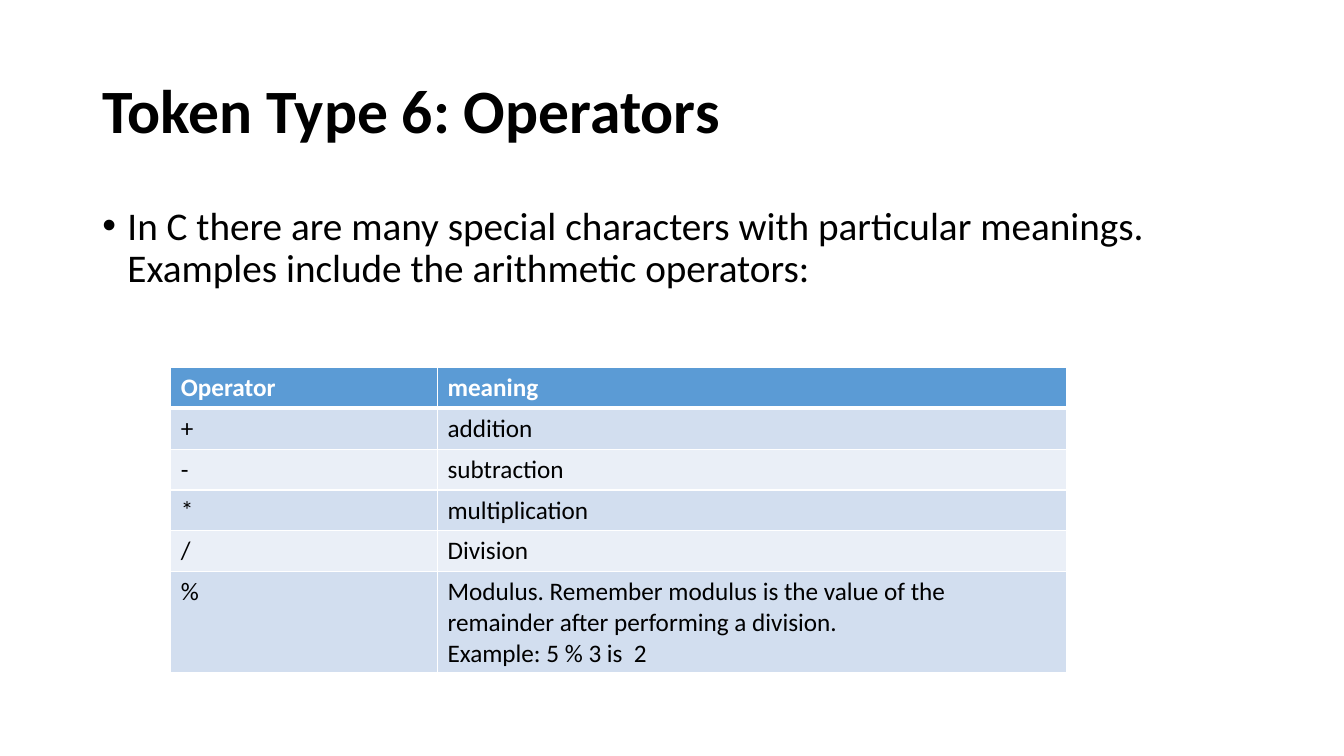
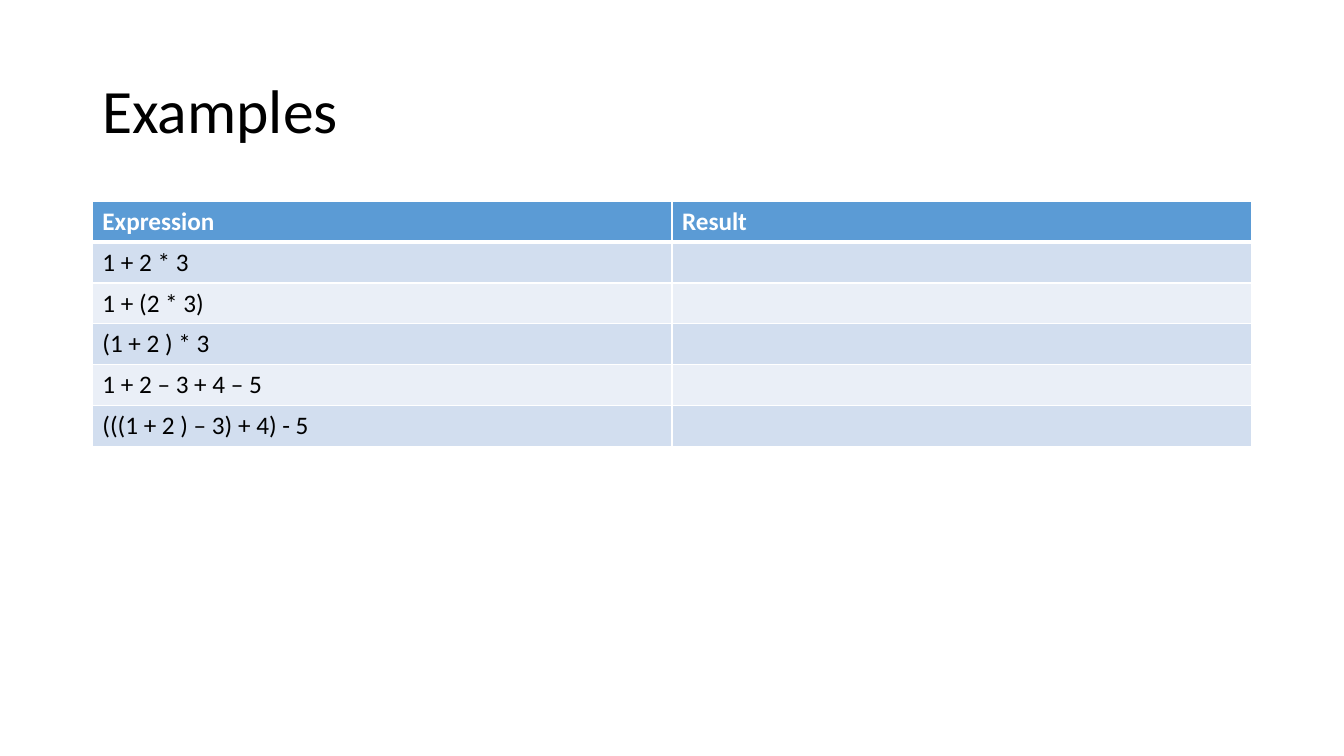
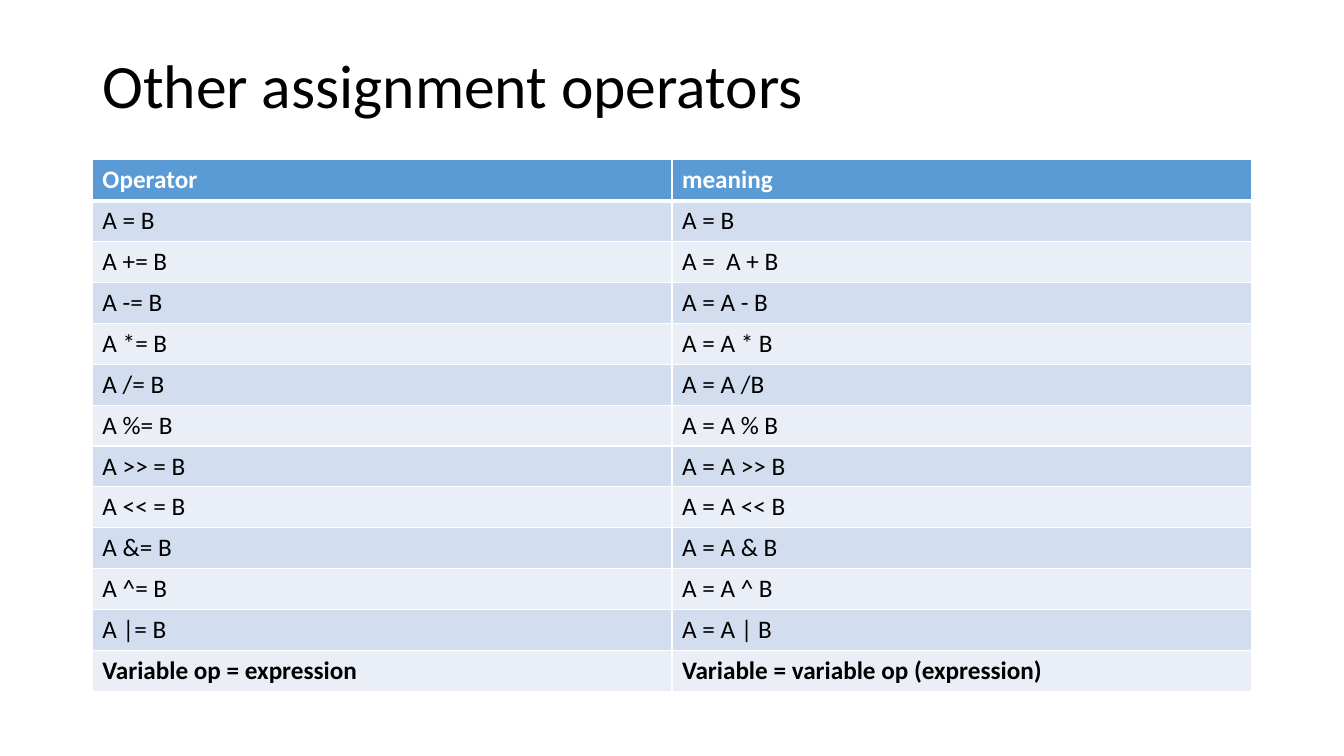
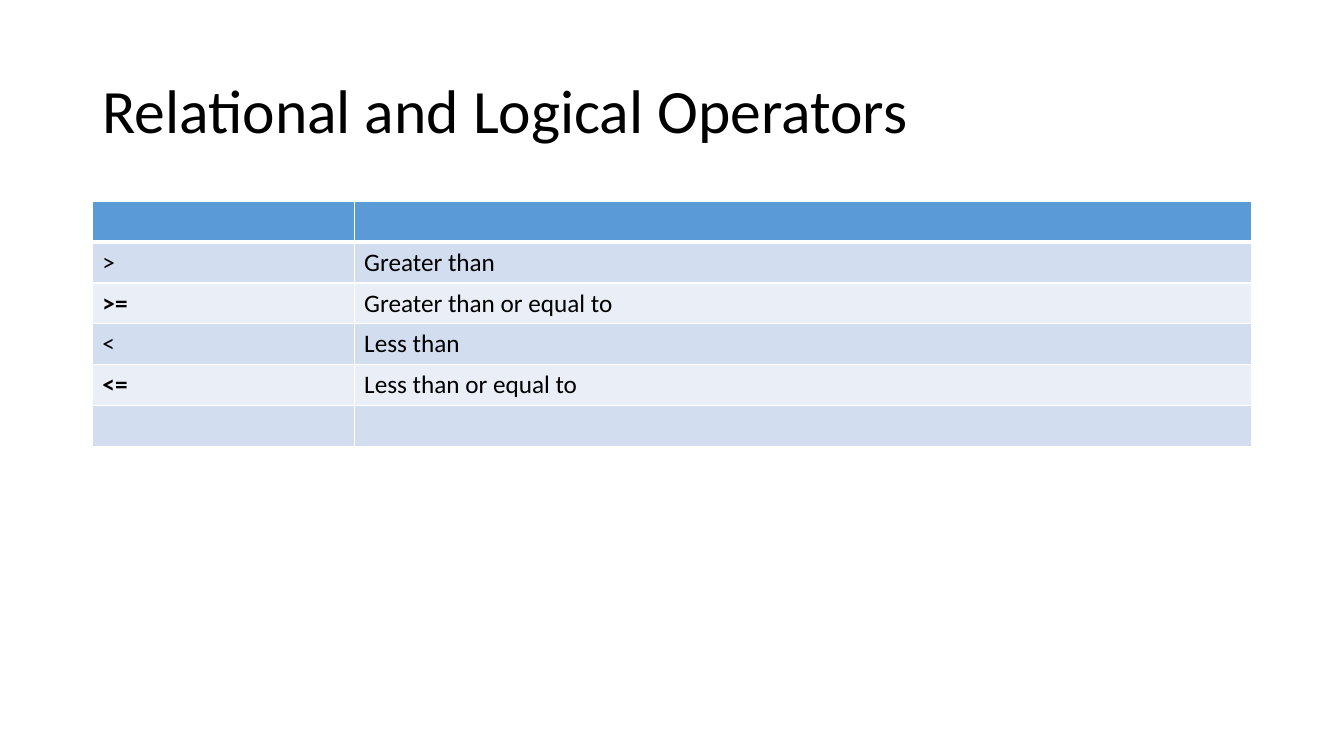
from dataclasses import dataclass

from lxml import etree
from pptx import Presentation
from pptx import util as u
from pptx.dml.color import RGBColor
from pptx.enum import text
from pptx.oxml import ns

Pt = u.Pt

SLIDES = [
    {
        "title": "Token Type 6: Operators",
        "title_bold": True,
        "bullet": "In C there are many special characters with particular meanings. "
                  "Examples include the arithmetic operators:",
        "table_at": (122, 262.4),
        "columns": (190.5, 449.5),
        "rows": [
            ("Operator", "meaning"),
            ("+", "addition"),
            ("-", "subtraction"),
            ("*", "multiplication"),
            ("/", "Division"),
            ("%", "Modulus. Remember modulus is the value of the remainder "
                  "after performing a division.\nExample: 5 % 3 is  2"),
        ],
    },
    {
        "title": "Examples",
        "columns": (414, 414),
        "rows": [
            ("Expression", "Result"),
            ("1 + 2 * 3", ""),
            ("1 + (2 * 3)", ""),
            ("(1 + 2 ) * 3", ""),
            ("1 + 2 – 3 + 4 – 5", ""),
            ("(((1 + 2 ) – 3) + 4) - 5", ""),
        ],
    },
    {
        "title": "Other assignment operators",
        "title_height": 69,
        "table_at": (66, 114.2),
        "columns": (414, 414),
        "rows": [
            ("Operator", "meaning"),
            ("A = B", "A = B"),
            ("A += B", "A =  A + B"),
            ("A -= B", "A = A - B"),
            ("A *= B", "A = A * B"),
            ("A /= B", "A = A /B"),
            ("A %= B", "A = A % B"),
            ("A >> = B", "A = A >> B"),
            ("A << = B", "A = A << B"),
            ("A &= B", "A = A & B"),
            ("A ^= B", "A = A ^ B"),
            ("A |= B", "A = A | B"),
            ("Variable op = expression", "Variable = variable op (expression)"),
        ],
        "bold_cells": {(12, 0), (12, 1)},
    },
    {
        "title": "Relational and Logical Operators",
        "columns": (187, 641),
        "rows": [
            ("", ""),
            (">", "Greater than"),
            (">=", "Greater than or equal to"),
            ("<", "Less than"),
            ("<=", "Less than or equal to"),
            ("", ""),
        ],
        "bold_cells": {(2, 0), (4, 0)},
    },
]


@dataclass(frozen=True)
class Theme:
    """Colours, type sizes and shared measures, in points."""
    font: str = "Calibri"
    ink: str = "000000"
    white: str = "FFFFFF"
    header: str = "5B9BD5"
    bands: tuple = ("D2DEEF", "EAEFF7")
    title_size: float = 44
    body_size: float = 28
    cell_size: float = 18
    line_spacing: float = 0.9
    thin: float = 1
    thick: float = 3
    left: float = 66
    width: float = 828
    title_top: float = 28.75
    title_height: float = 104.4
    body_top: float = 143.75
    body_height: float = 342.6
    row_height: float = 29.2
    indent: float = 18


THEME = Theme()


def style_runs(frame, size, color, bold=False):
    """Format every run of a text frame."""
    for para in frame.paragraphs:
        for span in para.runs:
            span.font.name = THEME.font
            span.font.size = Pt(size)
            span.font.bold = bold
            span.font.color.rgb = RGBColor.from_string(color)


def add_text(page, content, top, height, size, bold=False):
    """Add a full-width text box and return its text frame."""
    box = page.shapes.add_textbox(Pt(THEME.left), Pt(top), Pt(THEME.width), Pt(height))
    frame = box.text_frame
    frame.word_wrap = True
    frame.text = content
    frame.paragraphs[0].line_spacing = THEME.line_spacing
    style_runs(frame, size, THEME.ink, bold)
    return frame


def add_title(page, content, height, bold):
    """Add the slide title, centred vertically."""
    frame = add_text(page, content, THEME.title_top, height, THEME.title_size, bold)
    frame.vertical_anchor = text.MSO_ANCHOR.MIDDLE


def add_bullet(page, content):
    """Add the body text with a hanging bullet."""
    frame = add_text(page, content, THEME.body_top, THEME.body_height, THEME.body_size)
    para = frame.paragraphs[0]
    para.space_before = Pt(10)
    props = para._p.get_or_add_pPr()
    props.set("marL", str(Pt(THEME.indent)))
    props.set("indent", str(-Pt(THEME.indent)))
    etree.SubElement(props, ns.qn("a:buFont")).set("typeface", "Arial")
    etree.SubElement(props, ns.qn("a:buChar")).set("char", "•")


def add_borders(cell, row):
    """Draw white cell borders, thick between header and body."""
    widths = {
        "L": THEME.thin,
        "R": THEME.thin,
        "T": THEME.thick if row == 1 else THEME.thin,
        "B": THEME.thick if row == 0 else THEME.thin,
    }
    props = cell._tc.get_or_add_tcPr()
    for side, width in widths.items():
        line = etree.SubElement(props, ns.qn(f"a:ln{side}"), w=str(Pt(width)))
        fill = etree.SubElement(line, ns.qn("a:solidFill"))
        etree.SubElement(fill, ns.qn("a:srgbClr"), val=THEME.white)


def add_grid(page, rows, columns, at, bold_cells):
    """Add a banded table with a header row."""
    left, top = at
    grid = page.shapes.add_table(
        len(rows), len(columns), Pt(left), Pt(top),
        Pt(sum(columns)), Pt(THEME.row_height * len(rows))).table
    for column, width in zip(grid.columns, columns):
        column.width = Pt(width)
    for r, values in enumerate(rows):
        grid.rows[r].height = Pt(THEME.row_height)
        is_header = r == 0
        fill = THEME.header if is_header else THEME.bands[(r - 1) % 2]
        ink = THEME.white if is_header else THEME.ink
        for c, value in enumerate(values):
            cell = grid.cell(r, c)
            cell.text_frame.text = value
            style_runs(cell.text_frame, THEME.cell_size, ink,
                       is_header or (r, c) in bold_cells)
            add_borders(cell, r)
            cell.fill.solid()
            cell.fill.fore_color.rgb = RGBColor.from_string(fill)


def build():
    """Build and save the deck."""
    deck = Presentation()
    deck.slide_width, deck.slide_height = Pt(960), Pt(540)
    blank = deck.slide_layouts[6]
    for item in SLIDES:
        page = deck.slides.add_slide(blank)
        add_title(page, item["title"], item.get("title_height", THEME.title_height),
                  item.get("title_bold", False))
        if "bullet" in item:
            add_bullet(page, item["bullet"])
        add_grid(page, item["rows"], item["columns"],
                 item.get("table_at", (THEME.left, THEME.body_top)),
                 item.get("bold_cells", set()))
    deck.save("out.pptx")


build()
